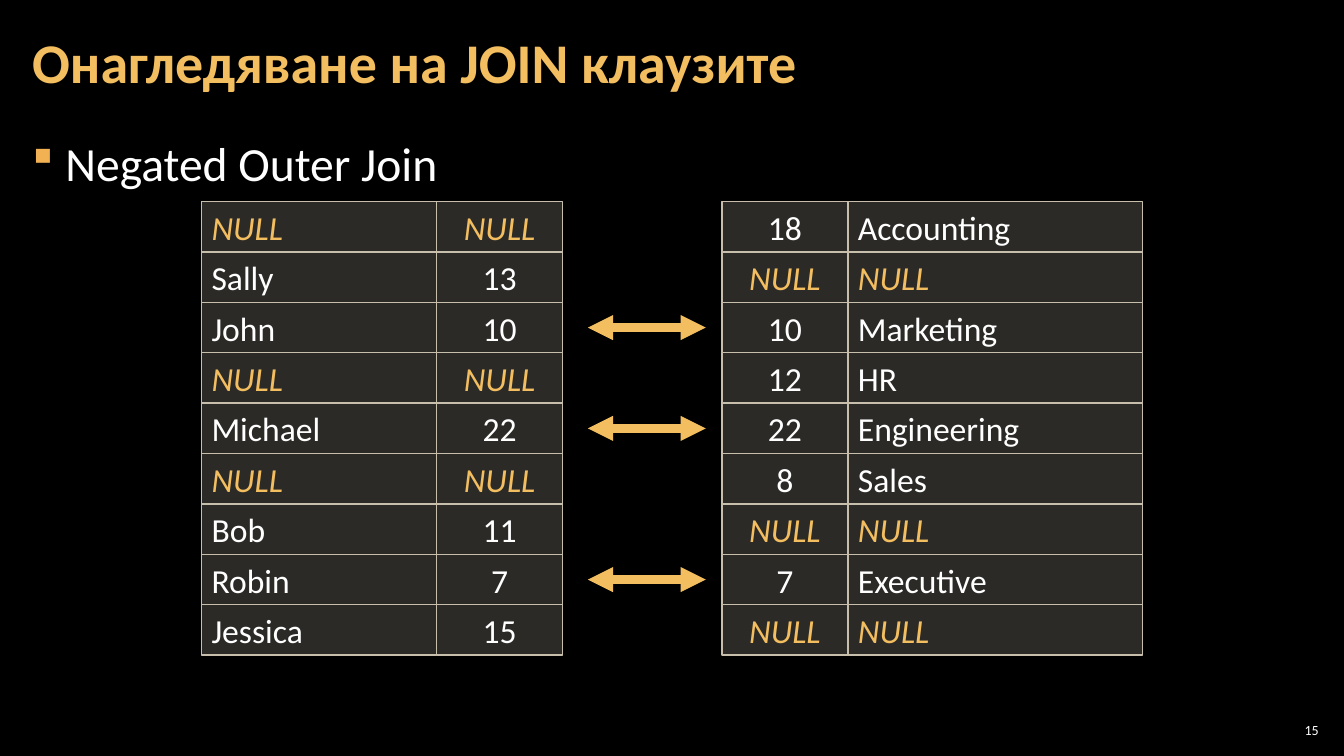
from dataclasses import dataclass

import pptx
import pptx.dml.color
import pptx.enum.shapes
import pptx.enum.text
import pptx.oxml.ns
import pptx.util
from lxml import etree
from pptx.util import Inches

ALIGN = pptx.enum.text.PP_ALIGN
ANCHOR = pptx.enum.text.MSO_ANCHOR
qn = pptx.oxml.ns.qn


@dataclass(frozen=True)
class Theme:
    font: str = "Calibri"
    background: str = "000000"
    text: str = "FFFFFF"
    accent: str = "F3BE60"
    bullet: str = "F2B254"
    cell: str = "D9D5C7"
    cell_alpha: int = 20
    border: str = "C7BFAC"
    title_size: int = 40
    body_size: int = 34
    cell_size: int = 24
    number_size: int = 10


THEME = Theme()

# Row contents, top to bottom
NULL = "NULL"
EMPLOYEES = [
    (NULL, NULL), ("Sally", "13"), ("John", "10"),
    (NULL, NULL), ("Michael", "22"), (NULL, NULL),
    ("Bob", "11"), ("Robin", "7"), ("Jessica", "15"),
]
DEPARTMENTS = [
    ("18", "Accounting"), (NULL, NULL), ("10", "Marketing"),
    ("12", "HR"), ("22", "Engineering"), ("8", "Sales"),
    (NULL, NULL), ("7", "Executive"), (NULL, NULL),
]

# Shared grid, in inches
GRID_TOP = 2
ROW_HEIGHT = 0.5
NAME_WIDTH, ID_WIDTH, DEPARTMENT_WIDTH = 2.33, 1.25, 2.92
ARROW_LEFT, ARROW_RIGHT = 5.83, 7


def rgb(color):
    return pptx.dml.color.RGBColor.from_string(color)


def add_child(parent, tag, **attributes):
    return etree.SubElement(parent, qn(tag), attributes)


def style_text(para, size, color=THEME.text, bold=False, italic=False):
    for span in para.runs:
        span.font.name = THEME.font
        span.font.size = pptx.util.Pt(size)
        span.font.color.rgb = rgb(color)
        span.font.bold = bold
        span.font.italic = italic


def add_text(slide, text, left, top, width, height, side_margin, anchor):
    box = slide.shapes.add_textbox(
        Inches(left), Inches(top), Inches(width), Inches(height))
    frame = box.text_frame
    frame.word_wrap = True
    frame.vertical_anchor = anchor
    frame.margin_left = frame.margin_right = Inches(side_margin)
    frame.margin_top = frame.margin_bottom = Inches(0.04)
    frame.text = text
    return frame.paragraphs[0]


def add_bullet(para, indent):
    properties = para._p.get_or_add_pPr()
    properties.set("marL", str(Inches(indent)))
    properties.set("indent", str(-Inches(indent)))
    color = add_child(properties, "a:buClr")
    add_child(color, "a:srgbClr", val=THEME.bullet)
    # Wingdings draws this character as a small square
    add_child(properties, "a:buFont", typeface="Wingdings", charset="2")
    add_child(properties, "a:buChar", char="§")


def add_cell(slide, value, left, top, width, alignment):
    cell = slide.shapes.add_shape(
        pptx.enum.shapes.MSO_SHAPE.RECTANGLE,
        Inches(left), Inches(top), Inches(width), Inches(ROW_HEIGHT))
    cell.shadow.inherit = False
    cell.fill.solid()
    cell.fill.fore_color.rgb = rgb(THEME.cell)
    color = cell._element.spPr.find(qn("a:solidFill")).find(qn("a:srgbClr"))
    add_child(color, "a:alpha", val=str(THEME.cell_alpha * 1000))
    cell.line.color.rgb = rgb(THEME.border)
    cell.line.width = pptx.util.Pt(1)

    frame = cell.text_frame
    frame.vertical_anchor = ANCHOR.MIDDLE
    frame.text = value
    para = frame.paragraphs[0]
    para.alignment = alignment
    missing = value == NULL
    style_text(para, THEME.cell_size,
               THEME.accent if missing else THEME.text, italic=missing)


def add_grid(slide, left, widths, rows, id_column):
    for row_index, values in enumerate(rows):
        top = GRID_TOP + ROW_HEIGHT * row_index
        for column, (value, width) in enumerate(zip(values, widths)):
            alignment = ALIGN.CENTER if column == id_column else ALIGN.LEFT
            add_cell(slide, value, left + sum(widths[:column]), top, width,
                     alignment)


def add_match_arrow(slide, row_index):
    middle = Inches(GRID_TOP + ROW_HEIGHT * (row_index + 0.5))
    arrow = slide.shapes.add_connector(
        pptx.enum.shapes.MSO_CONNECTOR.STRAIGHT,
        Inches(ARROW_LEFT), middle, Inches(ARROW_RIGHT), middle)
    arrow.line.color.rgb = rgb(THEME.accent)
    arrow.line.width = pptx.util.Pt(6)
    line = arrow.line._get_or_add_ln()
    for end in ("a:headEnd", "a:tailEnd"):
        add_child(line, end, type="triangle")
    add_child(arrow._element.spPr, "a:effectLst")


def main():
    deck = pptx.Presentation()
    deck.slide_width, deck.slide_height = Inches(13.33), Inches(7.5)
    slide = deck.slides.add_slide(deck.slide_layouts[6])
    slide.background.fill.solid()
    slide.background.fill.fore_color.rgb = rgb(THEME.background)

    # Slide number
    number = add_text(slide, "15", 12.65, 7.14, 0.47, 0.21, 0.04, ANCHOR.MIDDLE)
    number.alignment = ALIGN.RIGHT
    style_text(number, THEME.number_size)

    # Heading and topic
    topic = add_text(slide, "Negated Outer Join",
                     0.21, 1.26, 12.91, 6.09, 0.11, ANCHOR.TOP)
    topic.line_spacing = 1.05
    topic.space_after = pptx.util.Pt(6)
    add_bullet(topic, 0.33)
    style_text(topic, THEME.body_size)
    title = add_text(slide, "Онагледяване на JOIN клаузите",
                     0.21, 0.04, 10.47, 1.21, 0.11, ANCHOR.MIDDLE)
    title.line_spacing = 0.9
    style_text(title, THEME.title_size, THEME.accent, bold=True)

    # Joined grids of cells
    add_grid(slide, 2, (NAME_WIDTH, ID_WIDTH), EMPLOYEES, id_column=1)
    add_grid(slide, 7.16, (ID_WIDTH, DEPARTMENT_WIDTH), DEPARTMENTS,
             id_column=0)

    # Arrows between rows whose department ids match
    for index, (employee, department) in enumerate(zip(EMPLOYEES, DEPARTMENTS)):
        if employee[1] == department[0]:
            add_match_arrow(slide, index)

    deck.save("out.pptx")


if __name__ == "__main__":
    main()
